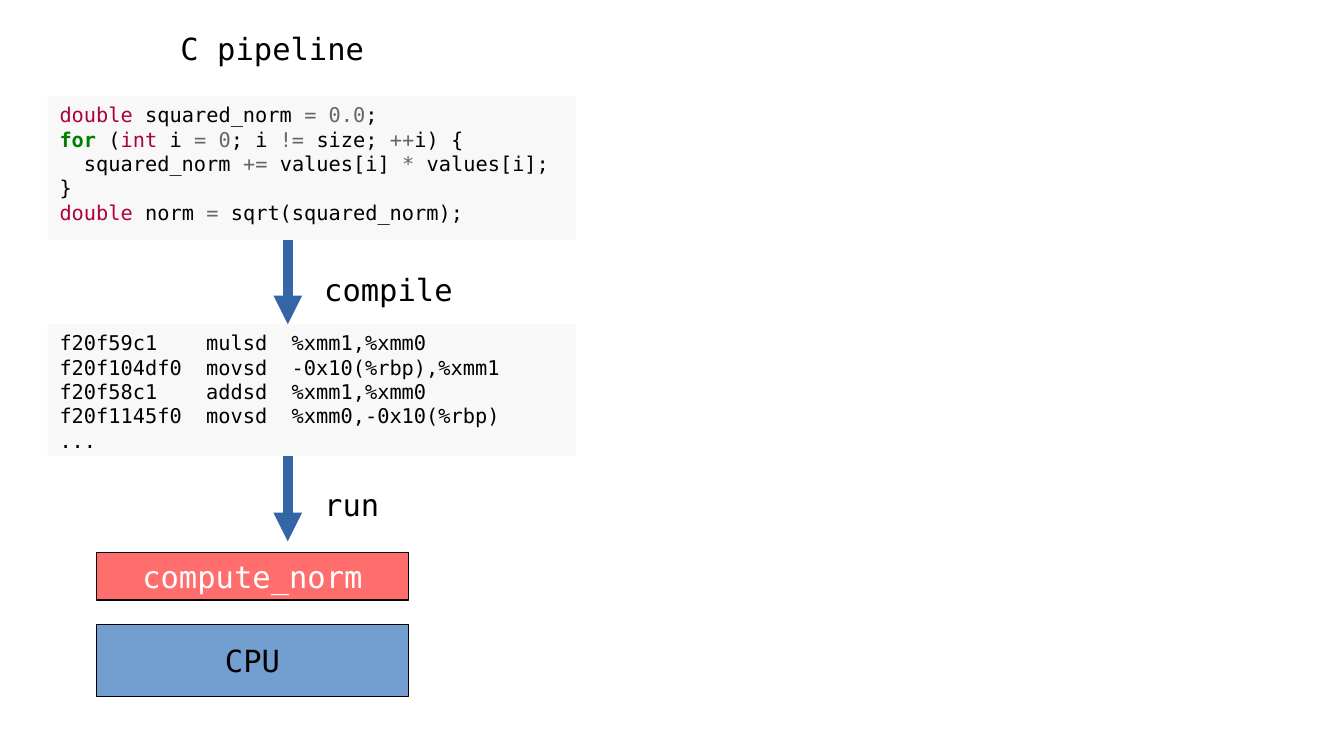
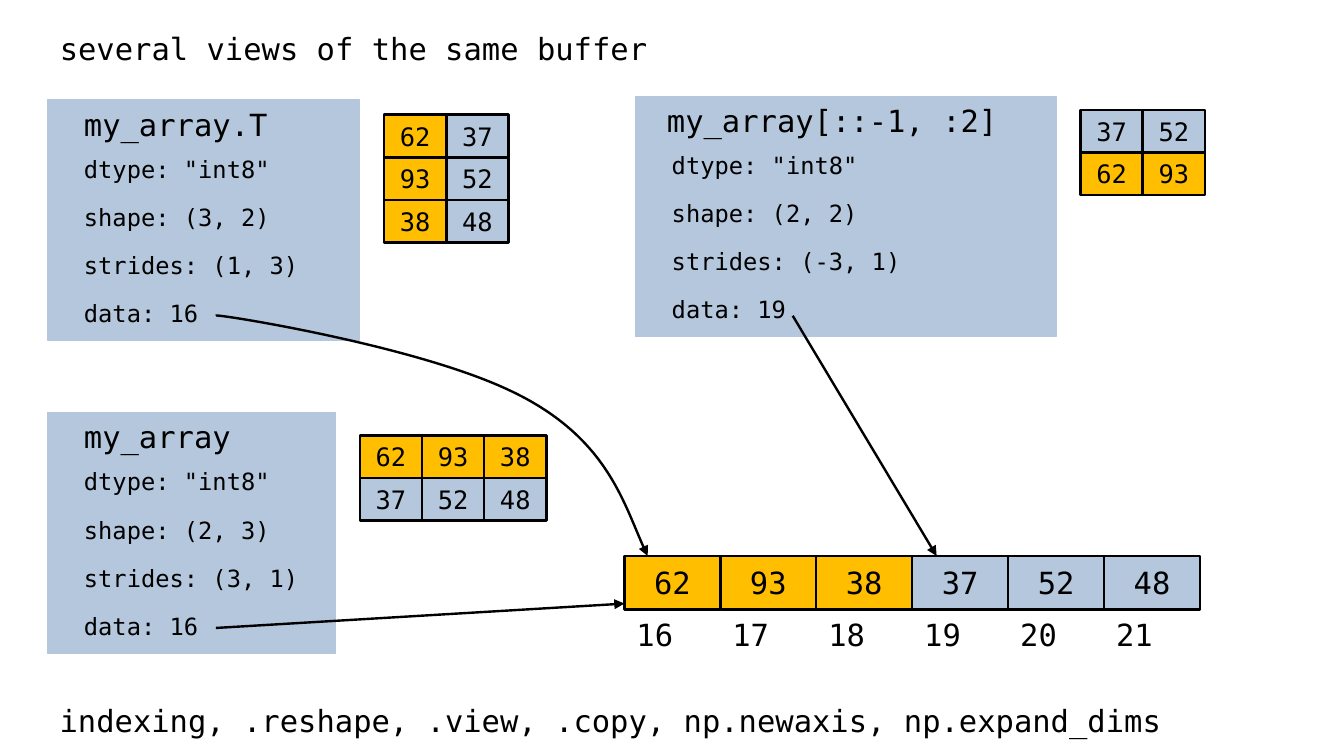
from dataclasses import dataclass
from typing import NamedTuple

from lxml import etree
from pptx import Presentation
from pptx.dml.color import RGBColor
from pptx.enum.shapes import MSO_CONNECTOR as Connector, MSO_SHAPE as Preset
from pptx.enum.text import MSO_ANCHOR as Anchor, MSO_AUTO_SIZE as AutoSize, PP_ALIGN as Align
from pptx.oxml.ns import qn
from pptx.util import Inches, Pt

# Shared style
FONT = "DejaVu Sans Mono"
COLORS = {
    "plain": "000000",
    "white": "FFFFFF",
    "type": "B00040",
    "keyword": "008000",
    "operator": "666666",
    "code": "F8F8F8",
    "pipeline": "3465A4",
    "program": "FF6D6D",
    "cpu": "729FCF",
    "panel": "B4C7DC",
    "first_row": "FFBF00",
}
LARGE, CELL, FIELD, CODE = 18, 15, 14, 12
LINE_HEIGHT = 0.39
THIN = 1.42


class Box(NamedTuple):
    left: float
    top: float
    width: float
    height: float = LINE_HEIGHT


class Token(NamedTuple):
    text: str
    kind: str = "plain"


class Step(NamedTuple):
    label: str
    start: float
    end: float


@dataclass
class ArrayView:
    name: str
    panel: Box
    name_offset: float
    fields: list[str]
    grid_left: float
    grid_top: float
    rows: list[list[int]]


# Slide 1 content
C_CODE = [
    [Token("double ", "type"), Token("squared_norm "), Token("= 0.0", "operator"), Token(";")],
    [Token("for ", "keyword"), Token("("), Token("int ", "type"), Token("i "),
     Token("= 0", "operator"), Token("; i "), Token("!= ", "operator"), Token("size; "),
     Token("++", "operator"), Token("i) {")],
    [Token("  squared_norm "), Token("+= ", "operator"), Token("values[i] "),
     Token("* ", "operator"), Token("values[i];")],
    [Token("}")],
    [Token("double ", "type"), Token("norm "), Token("= ", "operator"),
     Token("sqrt(squared_norm);")],
]
ASSEMBLY = [[Token(line)] for line in (
    "f20f59c1    mulsd  %xmm1,%xmm0",
    "f20f104df0  movsd  -0x10(%rbp),%xmm1",
    "f20f58c1    addsd  %xmm1,%xmm0",
    "f20f1145f0  movsd  %xmm0,-0x10(%rbp)",
    "...",
)]
STEPS = [Step("compile", 1.97, 2.66), Step("run", 3.74, 4.44)]

# Slide 2 content
BUFFER = [62, 93, 38, 37, 52, 48]
FIRST_ROW = BUFFER[:3]
FIRST_ADDRESS = 16
VIEWS = [
    ArrayView("my_array", Box(0.39, 3.38, 2.36, 1.98), 0.2,
              ['dtype: "int8"', "shape: (2, 3)", "strides: (3, 1)", "data: 16"],
              2.95, 3.57, [[62, 93, 38], [37, 52, 48]]),
    ArrayView("my_array.T", Box(0.39, 0.82, 2.56, 1.97), 0.2,
              ['dtype: "int8"', "shape: (3, 2)", "strides: (1, 3)", "data: 16"],
              3.15, 0.94, [[62, 37], [93, 52], [38, 48]]),
    ArrayView("my_array[::-1, :2]", Box(5.21, 0.79, 3.45, 1.97), 0.16,
              ['dtype: "int8"', "shape: (2, 2)", "strides: (-3, 1)", "data: 19"],
              8.86, 0.9, [[37, 52], [62, 93]]),
]


def color(name: str) -> RGBColor:
    return RGBColor.from_string(COLORS[name])


def place(shape, box: Box) -> None:
    shape.left, shape.top, shape.width, shape.height = map(Inches, box)


def write(shape, lines: list[list[Token]], size: int, align=Align.LEFT,
          anchor=Anchor.TOP) -> None:
    frame = shape.text_frame
    frame.word_wrap = True
    frame.auto_size = AutoSize.NONE
    frame.vertical_anchor = anchor
    frame.margin_left = frame.margin_right = Inches(0.1)
    frame.margin_top = frame.margin_bottom = Inches(0.05)
    for index, tokens in enumerate(lines):
        paragraph = frame.add_paragraph() if index else frame.paragraphs[0]
        paragraph.alignment = align
        for token in tokens:
            run = paragraph.add_run()
            run.text = token.text
            run.font.name = FONT
            run.font.size = Pt(size)
            run.font.bold = token.kind == "keyword"
            run.font.color.rgb = color(token.kind)


def add_title(slide, text: str, box: Box) -> None:
    place(slide.shapes.title, box)
    write(slide.shapes.title, [[Token(text)]], LARGE)


def add_label(slide, text: str, box: Box, size: int = LARGE) -> None:
    write(slide.shapes.add_textbox(*map(Inches, box)), [[Token(text)]], size)


def add_rectangle(slide, box: Box, fill: str, line: str | None = None, width: float = 0):
    shape = slide.shapes.add_shape(Preset.RECTANGLE, *map(Inches, box))
    shape.shadow.inherit = False
    shape.fill.solid()
    shape.fill.fore_color.rgb = color(fill)
    if line:
        shape.line.color.rgb = color(line)
        shape.line.width = Pt(width)
    else:
        shape.line.fill.background()
    return shape


def add_block(slide, box: Box, token: Token, fill: str, size: int = LARGE,
              width: float = 0) -> None:
    shape = add_rectangle(slide, box, fill, "plain", width)
    write(shape, [[token]], size, Align.CENTER, Anchor.MIDDLE)


def style_arrow(shape, line: str, width: float) -> None:
    shape.line.color.rgb = color(line)
    shape.line.width = Pt(width)
    outline = shape.line._get_or_add_ln()
    etree.SubElement(outline, qn("a:tailEnd"), type="triangle")


def add_arrow(slide, start: tuple[float, float], end: tuple[float, float],
              line: str = "plain", width: float = THIN) -> None:
    arrow = slide.shapes.add_connector(Connector.STRAIGHT, *map(Inches, start + end))
    style_arrow(arrow, line, width)
    etree.SubElement(arrow._element.spPr, qn("a:effectLst"))


def add_curved_arrow(slide, points: list[tuple[float, float]]) -> None:
    """Draw a chain of cubic curves: a start, then three points for each curve."""
    start, *others = [(Inches(x), Inches(y)) for x, y in points]
    builder = slide.shapes.build_freeform(*start)
    builder.add_line_segments(others, close=False)
    shape = builder.convert_to_shape()
    shape.shadow.inherit = False
    shape.fill.background()
    style_arrow(shape, "plain", THIN)
    # Turn every three straight segments into one cubic curve
    segments = list(shape._element.iter(qn("a:lnTo")))
    outline = segments[0].getparent()
    for first in range(0, len(segments), 3):
        curve = etree.SubElement(outline, qn("a:cubicBezTo"))
        for segment in segments[first:first + 3]:
            curve.append(segment[0])
            outline.remove(segment)


def add_cell(slide, value: int, box: Box, size: int) -> None:
    fill = "first_row" if value in FIRST_ROW else "panel"
    add_block(slide, box, Token(str(value)), fill, size, THIN)


def add_view(slide, view: ArrayView) -> None:
    panel = view.panel
    add_rectangle(slide, panel, "panel", "panel")
    add_label(slide, view.name,
              Box(panel.left + view.name_offset, panel.top, panel.width - 0.36))
    first_field = 0.4
    pitch = (panel.height - LINE_HEIGHT - first_field) / (len(view.fields) - 1)
    for index, field in enumerate(view.fields):
        top = panel.top + first_field + index * pitch
        add_label(slide, field, Box(panel.left + 0.2, top, 2.36), FIELD)
    width, height = 0.51, 0.35
    for row, values in enumerate(view.rows):
        for column, value in enumerate(values):
            add_cell(slide, value, Box(view.grid_left + column * width,
                                       view.grid_top + row * height, width, height), CELL)


def add_buffer(slide) -> None:
    left, top, height = 5.12, 4.56, 0.44
    width = 4.72 / len(BUFFER)
    for index, value in enumerate(BUFFER):
        cell_left = left + index * width
        add_cell(slide, value, Box(cell_left, top, width, height), LARGE)
        add_label(slide, str(FIRST_ADDRESS + index), Box(cell_left, top + height, 0.59))


def build_pipeline(slide) -> None:
    add_title(slide, "C pipeline", Box(1.38, 0.2, 6.1))
    # Source code and machine code
    for lines, top, height in ((C_CODE, 0.79, 1.18), (ASSEMBLY, 2.66, 1.08)):
        write(add_rectangle(slide, Box(0.39, top, 4.33, height), "code"), lines, CODE)
    # Steps between them
    for step in STEPS:
        add_arrow(slide, (2.36, step.start), (2.36, step.end), "pipeline", 5.67)
        add_label(slide, step.label, Box(2.56, step.start + 0.2, 1.97))
    # Program on the processor
    add_block(slide, Box(0.79, 4.53, 2.56), Token("compute_norm", "white"), "program")
    add_block(slide, Box(0.79, 5.12, 2.56, 0.59), Token("CPU"), "cpu")


def build_views(slide) -> None:
    add_title(slide, "several views of the same buffer", Box(0.39, 0.2, 9.25))
    for view in VIEWS:
        add_view(slide, view)
    add_buffer(slide)
    # Pointers into the buffer
    add_arrow(slide, (1.77, 5.15), (5.12, 4.95))
    add_arrow(slide, (6.5, 2.59), (7.68, 4.56))
    add_curved_arrow(slide, [(1.77, 2.59), (1.69, 2.56), (3.31, 2.81), (4.13, 3.18),
                             (4.96, 3.55), (5.12, 4.16), (5.31, 4.56)])
    add_label(slide, "indexing, .reshape, .view, .copy, np.newaxis, np.expand_dims",
              Box(0.39, 5.71, 9.25))


def main() -> None:
    presentation = Presentation()
    presentation.slide_width = Inches(11.02)
    presentation.slide_height = Inches(6.2)
    title_only = presentation.slide_layouts[5]
    for build in (build_pipeline, build_views):
        build(presentation.slides.add_slide(title_only))
    presentation.save("out.pptx")


if __name__ == "__main__":
    main()
